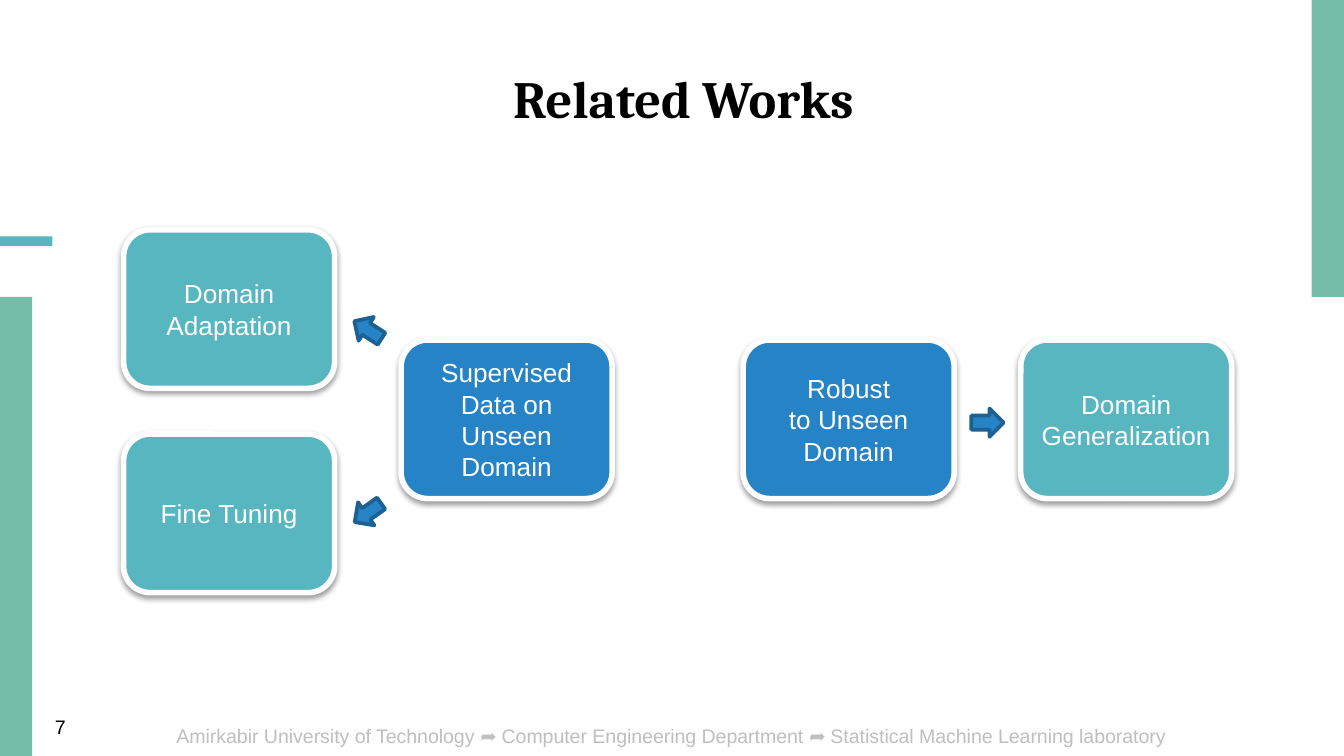
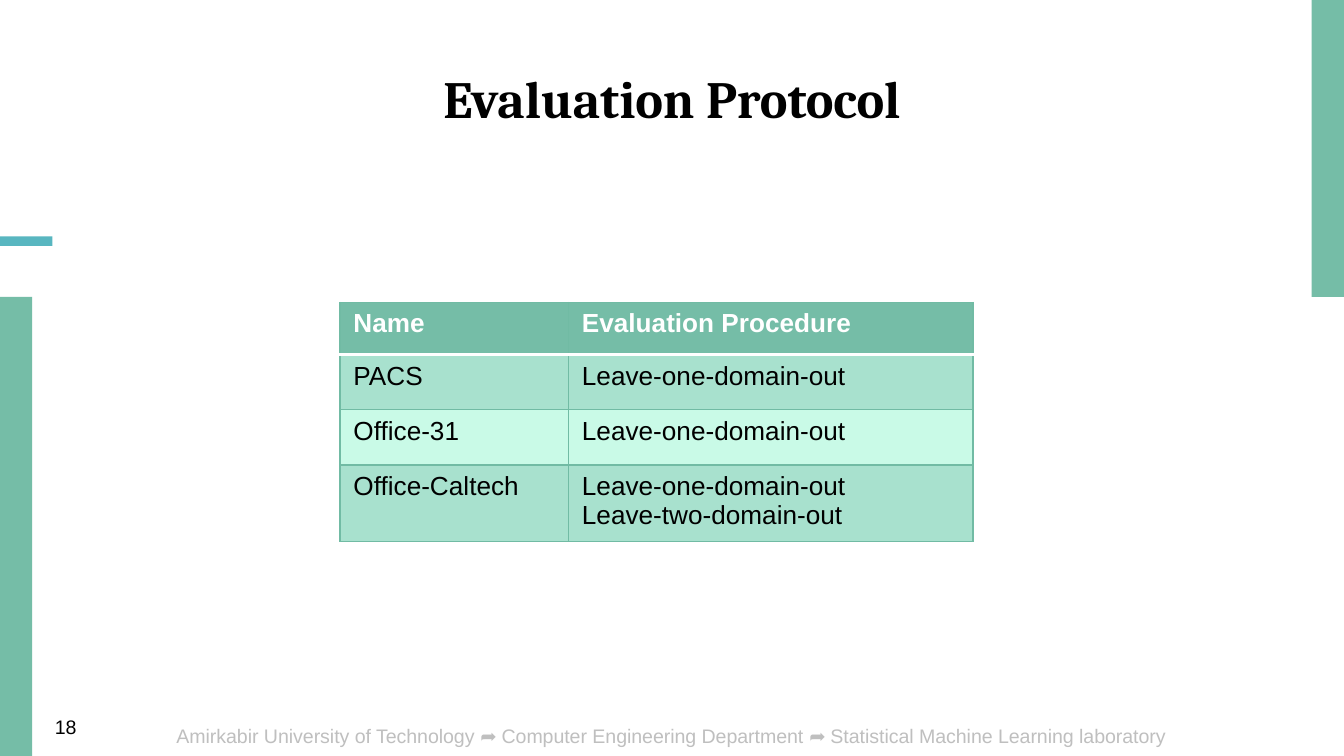
from lxml import etree
from pptx import Presentation
from pptx.dml.color import RGBColor
from pptx.enum.shapes import MSO_SHAPE
from pptx.enum.text import MSO_ANCHOR, MSO_AUTO_SIZE, PP_ALIGN
from pptx.oxml import parse_xml
from pptx.oxml.ns import nsdecls, qn
from pptx.util import Inches, Pt

RECT, ROUNDED, ARROW = MSO_SHAPE.RECTANGLE, MSO_SHAPE.ROUNDED_RECTANGLE, MSO_SHAPE.RIGHT_ARROW
LEFT, CENTER = PP_ALIGN.LEFT, PP_ALIGN.CENTER
MIDDLE = MSO_ANCHOR.MIDDLE
NO_AUTOFIT = MSO_AUTO_SIZE.NONE

GREEN = RGBColor(0x75, 0xBD, 0xA7)
TEAL = RGBColor(0x58, 0xB6, 0xC0)
BLUE = RGBColor(0x26, 0x83, 0xC6)
DARK_BLUE = RGBColor(0x1C, 0x61, 0x92)
GRID_GREEN = RGBColor(0x71, 0xBB, 0xA4)
ROW_DARK = RGBColor(0xA8, 0xE1, 0xCE)
ROW_LIGHT = RGBColor(0xC9, 0xFA, 0xE7)
GREY = RGBColor(0xBF, 0xBF, 0xBF)
WHITE = RGBColor(0xFF, 0xFF, 0xFF)
BLACK = RGBColor(0, 0, 0)

FOOTER = ("Amirkabir University of Technology ➦ Computer Engineering Department"
          " ➦ Statistical Machine Learning laboratory")
COLUMNS = 100
SIDE = 8.3                  # left margin of title and footer, in columns
SHADOW = (f'<a:effectLst {nsdecls("a")}><a:outerShdw blurRad="40000" dist="20000" '
          'dir="5400000" rotWithShape="0"><a:srgbClr val="000000">'
          '<a:alpha val="38000"/></a:srgbClr></a:outerShdw></a:effectLst>')


class Deck:
    """Style and current slide; lengths are in square grid cells, 100 across."""

    def __init__(self):
        self.prs = Presentation()
        self.prs.slide_width = Inches(10)
        self.prs.slide_height = Inches(5.625)
        self.rows = COLUMNS * self.prs.slide_height / self.prs.slide_width
        self.slide = None

    def cells(self, *lengths):
        return [round(n * self.prs.slide_width / COLUMNS) for n in lengths]

    def add_lines(self, tf, lines, size, color, align=LEFT, font="Arial", bold=False):
        for i, line in enumerate(lines):
            p = tf.paragraphs[0] if i == 0 else tf.add_paragraph()
            p.alignment = align
            r = p.add_run()
            r.text = line
            r.font.name, r.font.size, r.font.bold = font, Pt(size), bold
            r.font.color.rgb = color

    def new_slide(self, title, number, indent=0):
        self.slide = self.prs.slides.add_slide(self.prs.slide_layouts[5])
        band = 22.1
        self.shape(RECT, 97.6, 0, 2.4, band, GREEN)
        self.shape(RECT, 0, band, 2.4, self.rows - band, GREEN)
        self.shape(RECT, 0, 17.6, 3.9, 0.7, TEAL)
        self.text(FOOTER, SIDE, 53.4, COLUMNS - 2 * SIDE, 2.9, GREY, CENTER)
        self.text(str(number), 3.1, 52.7, 5.9, 2.8, BLACK)
        self.title(title, indent)

    def title(self, text, indent):
        sp = self.slide.shapes.title
        sp.left, sp.top, sp.width, sp.height = self.cells(SIDE, 4.1, COLUMNS - 2 * SIDE, 6.3)
        tf = sp.text_frame
        tf.auto_size = NO_AUTOFIT
        tf.vertical_anchor = MIDDLE
        tf.margin_left = tf.margin_right = tf.margin_top = tf.margin_bottom = Inches(0.1)
        self.add_lines(tf, [text], 28, BLACK, CENTER, "Cambria", True)
        pPr = tf.paragraphs[0]._p.get_or_add_pPr()
        pPr.set("marL", str(self.cells(indent)[0]))
        pPr.set("indent", "0")

    def text(self, text, x, y, w, h, color, align=LEFT):
        tf = self.slide.shapes.add_textbox(*self.cells(x, y, w, h)).text_frame
        tf.word_wrap = True
        self.add_lines(tf, [text], 10.5, color, align)

    def shape(self, kind, x, y, w, h, fill, line=None, weight=0):
        sp = self.slide.shapes.add_shape(kind, *self.cells(x, y, w, h))
        sp.shadow.inherit = False
        sp.fill.solid()
        sp.fill.fore_color.rgb = fill
        if line is None:
            sp.line.fill.background()
        else:
            sp.line.color.rgb = line
            sp.line.width = Pt(weight)
        return sp

    def box(self, lines, x, y, w, h, fill):
        sp = self.shape(ROUNDED, x, y, w, h, fill, WHITE, 3)
        spPr = sp._element.spPr
        spPr.replace(spPr.find(qn("a:effectLst")), parse_xml(SHADOW))
        tf = sp.text_frame
        tf.word_wrap = True
        tf.vertical_anchor = MIDDLE
        tf.margin_left = tf.margin_right = Inches(0.08)
        self.add_lines(tf, lines, 14, WHITE, CENTER)

    def arrow(self, cx, cy, angle=0):
        """Block arrow centred on (cx, cy)."""
        w, h = 2.4, 2.1
        sp = self.shape(ARROW, cx - w / 2, cy - h / 2, w, h, BLUE, DARK_BLUE, 2)
        sp.rotation = angle

    def border(self, cell, side, color, weight):
        ln = etree.SubElement(cell._tc.get_or_add_tcPr(), qn(f"a:ln{side}"), w=str(Pt(weight)))
        fill = etree.SubElement(ln, qn("a:solidFill"))
        etree.SubElement(fill, qn("a:srgbClr"), val=str(color))

    def table(self, x, y, widths, heights, rows):
        """Table with a header row; each cell is a list of lines."""
        frame = self.slide.shapes.add_table(
            len(rows), len(widths), *self.cells(x, y, sum(widths), sum(heights)))
        table = frame.table
        table.horz_banding = False
        for column, width in zip(table.columns, self.cells(*widths)):
            column.width = width
        for i, (row, height) in enumerate(zip(table.rows, self.cells(*heights))):
            row.height = height
            header = i == 0
            fill = GREEN if header else ROW_DARK if i % 2 else ROW_LIGHT
            for cell, lines in zip(row.cells, rows[i]):
                for side in "LRTB":
                    under_header = (i, side) in ((0, "B"), (1, "T"))
                    self.border(cell, side, *((WHITE, 2) if under_header else (GRID_GREEN, 0.75)))
                cell.fill.solid()
                cell.fill.fore_color.rgb = fill
                self.add_lines(cell.text_frame, lines, 14, WHITE if header else BLACK,
                               bold=header)


def related_works(deck):
    deck.new_slide("Related Works", 7, indent=1.7)
    w, h, pitch = 15.7, 11.8, 20.65
    left, right = 9.2, 55.3
    upper, middle, lower = 17.1, 25.3, 32.3
    for lines, x, y, fill in (
        (["Fine Tuning"], left, lower, TEAL),
        (["Supervised Data on Unseen Domain"], left + pitch, middle, BLUE),
        (["Domain Generalization"], right + pitch, middle, TEAL),
        (["Robust", "to Unseen Domain"], right, middle, BLUE),
        (["Domain Adaptation"], left, upper, TEAL),
    ):
        deck.box(lines, x, y, w, h, fill)
    to_gap = (w + pitch) / 2
    deck.arrow(left + to_gap, 24.55, 212.9)
    deck.arrow(left + to_gap, 38.15, 144.6)
    deck.arrow(right + to_gap, 31.45)


def evaluation_protocol(deck):
    deck.new_slide("Evaluation Protocol", 18)
    one_out = "Leave-one-domain-out"
    deck.table(25.3, 22.5, [17, 30.1], [3.9, 4.1, 4.1, 5.4], [
        [["Name"], ["Evaluation Procedure"]],
        [["PACS"], [one_out]],
        [["Office-31"], [one_out]],
        [["Office-Caltech"], [one_out, "Leave-two-domain-out"]],
    ])


def main():
    deck = Deck()
    related_works(deck)
    evaluation_protocol(deck)
    deck.prs.save("out.pptx")


if __name__ == "__main__":
    main()
